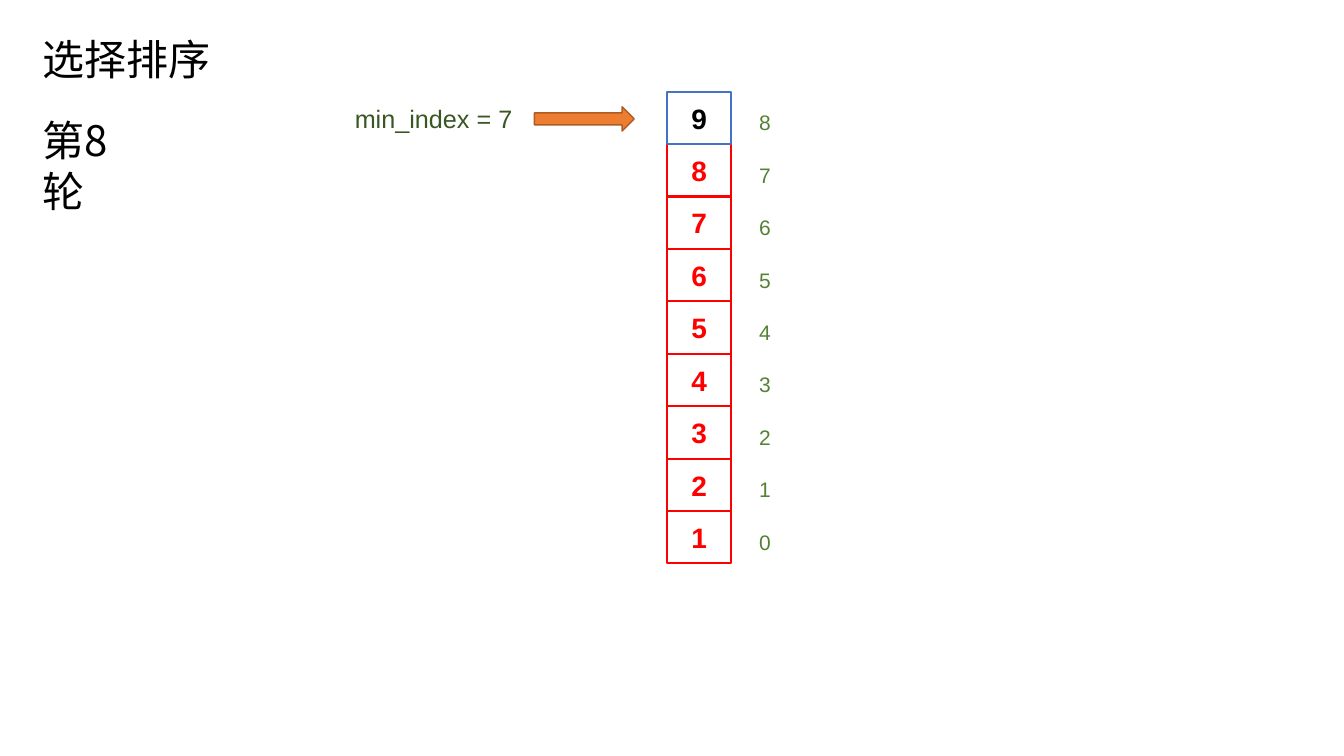
from pptx import Presentation
from pptx.dml.color import RGBColor
from pptx.enum.shapes import MSO_SHAPE
from pptx.enum.text import MSO_ANCHOR, PP_ALIGN
from pptx.oxml.ns import qn
from pptx.util import Inches, Pt

RECTANGLE, RIGHT_ARROW = MSO_SHAPE.RECTANGLE, MSO_SHAPE.RIGHT_ARROW
MIDDLE, CENTER = MSO_ANCHOR.MIDDLE, PP_ALIGN.CENTER

LATIN_FONT, CHINESE_FONT = "Arial", "Noto Sans CJK SC"
BLACK, RED, BLUE, ORANGE, BROWN = "000000", "FF0000", "4472C4", "ED7D31", "AF5C24"
DARK_GREEN, GREEN = "385723", "548235"

CELL_WIDTH, CELL_HEIGHT = 0.63, 0.52
VALUES = range(1, 10)  # from the bottom cell up
SORTED_COUNT = 8


def color(hex_string):
    return RGBColor.from_string(hex_string)


def style_text(paragraph, text, size, text_color, font_name=LATIN_FONT, bold=False):
    run = paragraph.add_run()
    run.text = text
    font = paragraph.font
    font.size, font.bold, font.name = Pt(size), bold, font_name
    font.color.rgb = color(text_color)
    if font_name == CHINESE_FONT:
        east_asian = run.font._element.makeelement(qn("a:ea"), {"typeface": font_name})
        run.font._element.append(east_asian)


def add_label(slide, box, text, size, text_color, font_name=LATIN_FONT, wrap=True):
    text_box = slide.shapes.add_textbox(*map(Inches, box))
    text_box.text_frame.word_wrap = wrap
    style_text(text_box.text_frame.paragraphs[0], text, size, text_color, font_name)


def add_outlined_shape(slide, kind, box, line_color, line_width):
    shape = slide.shapes.add_shape(kind, *map(Inches, box))
    shape.shadow.inherit = False
    shape.fill.background()
    shape.line.color.rgb = color(line_color)
    shape.line.width = Pt(line_width)
    return shape


def add_headings(slide, left, top):
    add_label(slide, (left, top, 1.88, 0.61), "选择排序", 30, BLACK, CHINESE_FONT, wrap=False)
    add_label(slide, (left, top + 0.81, 1.25, 0.61), "第8轮", 30, BLACK, CHINESE_FONT)


def add_pointer(slide, left, top):
    """Place the min_index label and the arrow to its right."""
    add_label(slide, (left, top, 1.78, 0.4), "min_index = 7", 18, DARK_GREEN, wrap=False)
    arrow = add_outlined_shape(slide, RIGHT_ARROW, (left + 1.88, top + 0.08, 0.99, 0.24), BROWN, 1)
    arrow.fill.solid()
    arrow.fill.fore_color.rgb = color(ORANGE)


def add_array(slide, left, top):
    """Stack the array cells from index 0 at the bottom, each with its index."""
    for index, value in enumerate(VALUES):
        cell_top = top + (len(VALUES) - 1 - index) * CELL_HEIGHT
        is_sorted = index < SORTED_COUNT
        cell = add_outlined_shape(slide, RECTANGLE, (left, cell_top, CELL_WIDTH, CELL_HEIGHT),
                                  RED if is_sorted else BLUE, 1.5)
        cell.text_frame.vertical_anchor = MIDDLE
        paragraph = cell.text_frame.paragraphs[0]
        paragraph.alignment = CENTER
        style_text(paragraph, str(value), 20, RED if is_sorted else BLACK, bold=True)
        add_label(slide, (left + 0.81, cell_top + 0.13, 0.49, 0.35), str(index), 15, GREEN)


def main():
    presentation = Presentation()
    presentation.slide_width, presentation.slide_height = Inches(13.33), Inches(7.5)
    slide = presentation.slides.add_slide(presentation.slide_layouts[6])
    add_headings(slide, 0.32, 0.28)
    add_pointer(slide, 3.42, 0.98)
    add_array(slide, 6.62, 0.91)
    presentation.save("out.pptx")


if __name__ == "__main__":
    main()
